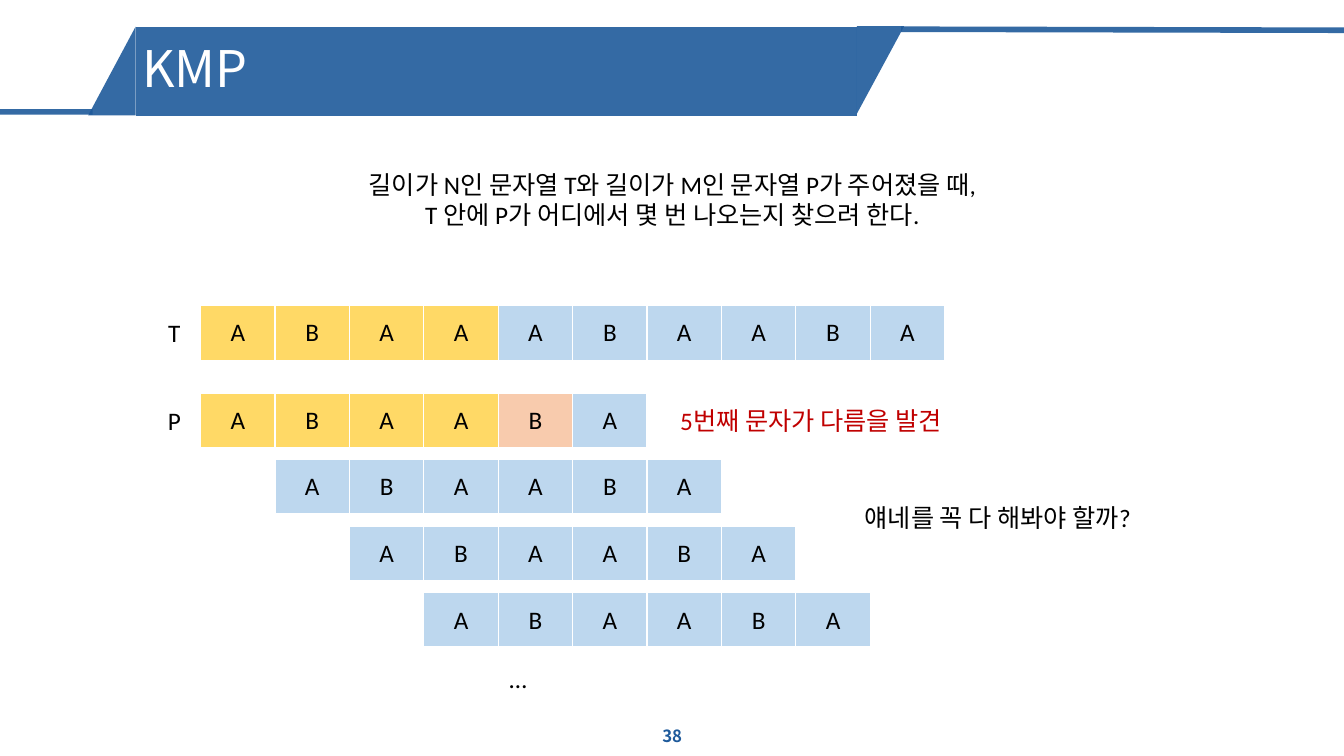
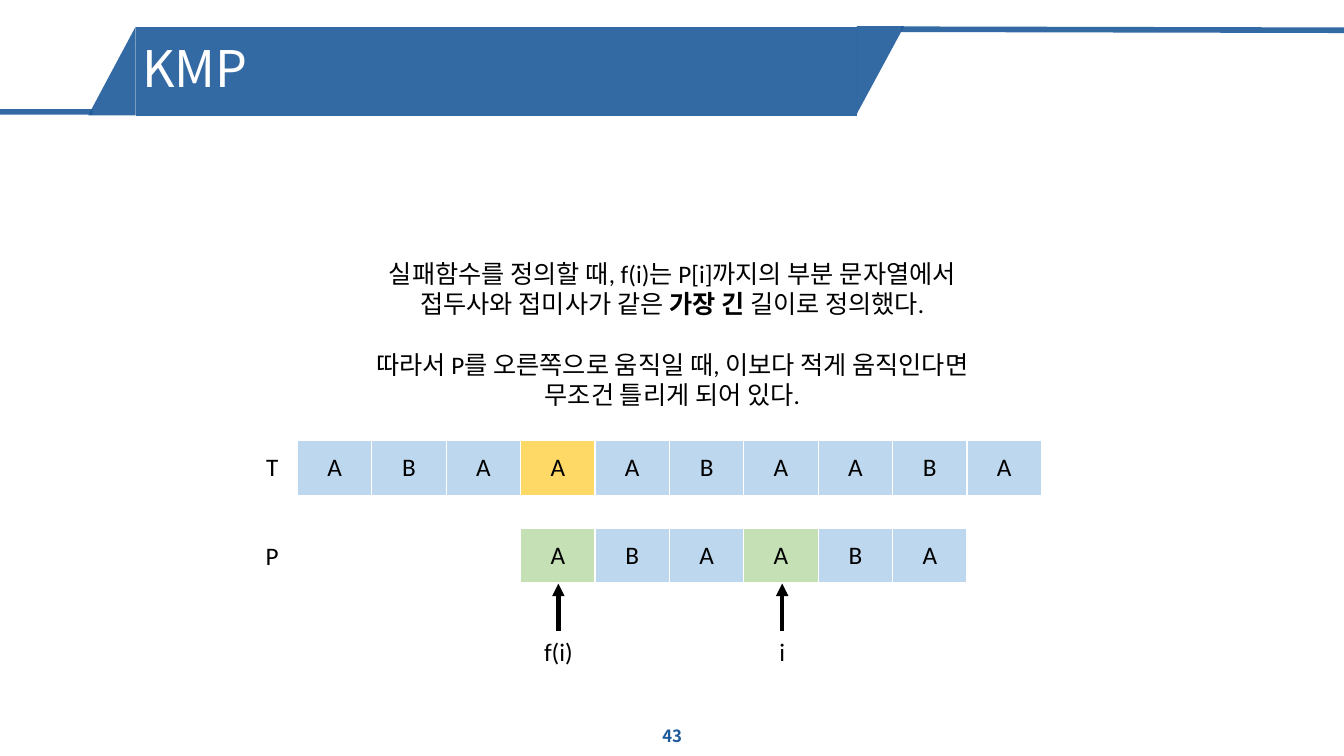
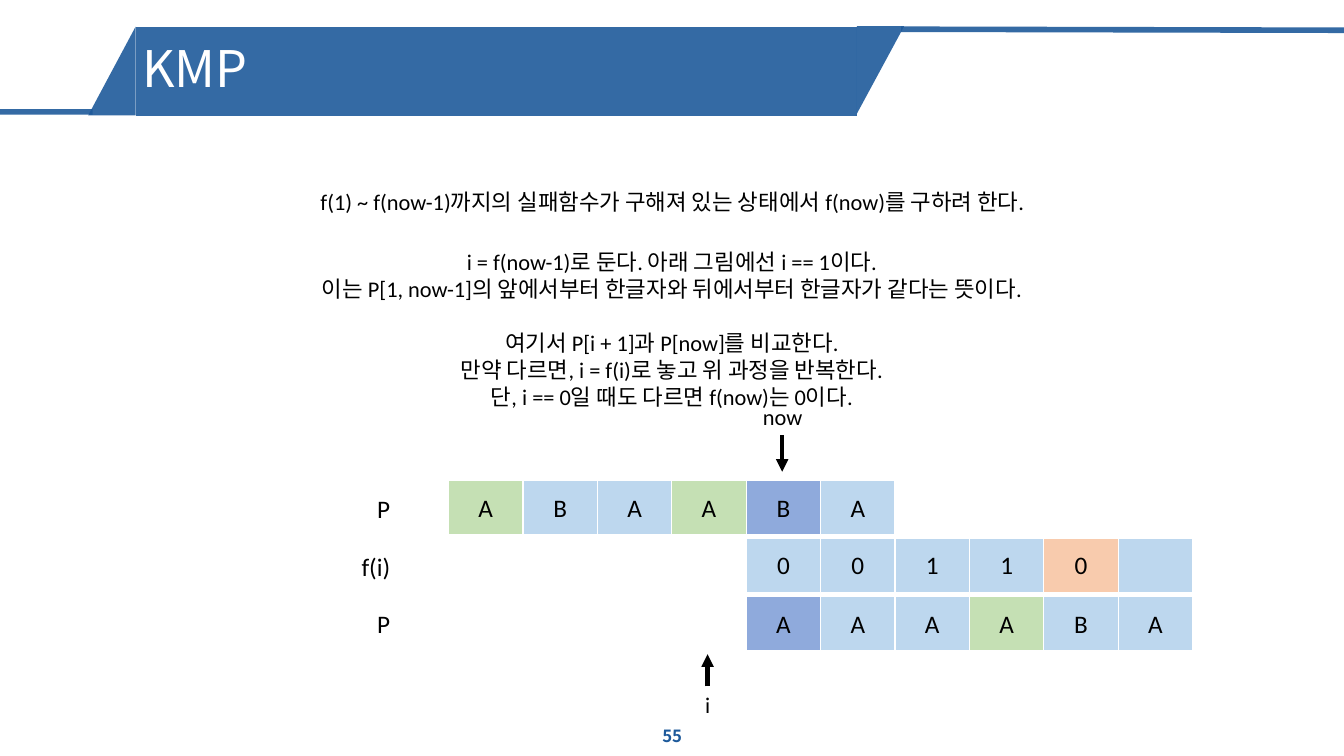
"""Build three slides that explain KMP string matching."""
import pptx
import pptx.util
import pptx.dml.color
import pptx.enum.shapes
import pptx.enum.text
import pptx.oxml.ns
import pptx.oxml.xmlchemy

Pt = pptx.util.Pt
qn = pptx.oxml.ns.qn
Node = pptx.oxml.xmlchemy.OxmlElement
RGB = pptx.dml.color.RGBColor.from_string
Align = pptx.enum.text.PP_ALIGN
Kind = pptx.enum.shapes.MSO_SHAPE
Middle = pptx.enum.text.MSO_ANCHOR.MIDDLE


class Theme:
    navy = "1E5A9B"
    white = "FFFFFF"
    black = "000000"
    red = "C00000"
    tints = {"b": "BDD7EE", "y": "FFD966", "o": "F8CBAD", "g": "C5E0B4", "d": "8FAADC"}
    body = "Calibri"
    head = "Noto Sans CJK KR"
    title = 36
    text = 18
    small = 16
    page = 12
    leading = 1.22


def write(frame, text, size=Theme.text, hue=Theme.black, side=Align.CENTER,
          face=Theme.body, bold=False):
    frame.word_wrap = True
    para = frame.paragraphs[0]
    for s, stanza in enumerate(text.split("\n\n")):
        for n, line in enumerate(stanza.split("\n")):
            if s or n:
                para = frame.add_paragraph()
            para.alignment = side
            if s and not n:
                para.space_before = Pt(size * Theme.leading)
            for r, piece in enumerate(line.split("*")):
                if piece:
                    run = para.add_run()
                    run.text = piece
                    run.font.size = Pt(size)
                    run.font.name = face
                    run.font.bold = bold or r % 2 == 1
                    run.font.color.rgb = RGB(hue)


def draw(slide, ends, width, hue):
    line = slide.shapes.add_connector(
        pptx.enum.shapes.MSO_CONNECTOR.STRAIGHT, *[Pt(v) for v in ends])
    line.line.width = Pt(width)
    line.line.color.rgb = RGB(hue)
    line.element.spPr.append(Node("a:effectLst"))
    return line


COL, ROW = 53.15, 39.6
LABEL = 28.8

pages = [
    {
        "page": "38",
        "texts": [
            (199.44, 117.36, 561.6, 51.12, "길이가 N인 문자열 T와 길이가 M인 문자열 P가 주어졌을 때,\n"
             "T 안에 P가 어디에서 몇 번 나오는지 찾으려 한다.", {}),
            (106.56, 223.2, 36, LABEL, "T", {}),
            (106.56, 285.84, 36, LABEL, "P", {}),
            (352.08, 470.16, 36, LABEL, "…", {}),
            (478.8, 285.84, 284.4, LABEL, "5번째 문자가 다름을 발견",
             {"hue": Theme.red, "side": Align.LEFT}),
            (610.56, 354.96, 252.72, LABEL, "얘네를 꼭 다 해봐야 할까?", {"side": Align.LEFT}),
        ],
        "grids": [(143.28, 218.16, "ABAAABAABA", "yyyybbbbbb"),
                  (143.28, 280.8, "ABAABA", "yyyyob")]
        + [(143.28 + COL * n, 280.8 + 47.52 * n, "ABAABA", "bbbbbb") for n in (1, 2, 3)],
        "arrows": [],
    },
    {
        "page": "43",
        "texts": [
            (199.44, 180.72, 561.6, 116.64, "실패함수를 정의할 때, f(i)는 P[i]까지의 부분 문자열에서\n"
             "접두사와 접미사가 같은 *가장 긴* 길이로 정의했다.\n\n"
             "따라서 P를 오른쪽으로 움직일 때, 이보다 적게 움직인다면\n"
             "무조건 틀리게 되어 있다.", {}),
            (176.4, 318.96, 36, LABEL, "T", {}),
            (176.4, 382.32, 36, LABEL, "P", {}),
            (541.44, 450.72, 34.56, LABEL, "i", {}),
            (365.04, 450.72, 67.68, LABEL, "f(i)", {}),
        ],
        "grids": [(212.4, 314.64, "ABAAABAABA", "bbbybbbbbb"),
                  (212.4 + COL * 3, 377.28, "ABAABA", "gbbgbb")],
        "arrows": [(x, 450.72, x, 416.88) for x in (558.72, 398.88)],
    },
    {
        "page": "55",
        "texts": [
            (162, 131.04, 636.48, 26.64,
             "f(1) ~ f(now-1)까지의 실패함수가 구해져 있는 상태에서 f(now)를 구하려 한다.",
             {"size": Theme.small}),
            (182.16, 173.52, 595.44, 123.84, "i = f(now-1)로 둔다. 아래 그림에선 i == 1이다.\n"
             "이는 P[1, now-1]의 앞에서부터 한글자와 뒤에서부터 한글자가 같다는 뜻이다.\n\n"
             "여기서 P[i + 1]과 P[now]를 비교한다.\n"
             "만약 다르면, i = f(i)로 놓고 위 과정을 반복한다.\n"
             "단, i == 0일 때도 다르면 f(now)는 0이다.", {"size": Theme.small}),
            (249.84, 348.48, 36, LABEL, "P", {"side": Align.RIGHT}),
            (226.8, 390.24, 59.04, LABEL, "f(i)", {"side": Align.RIGHT}),
            (249.84, 431.28, 36, LABEL, "P", {"side": Align.RIGHT}),
            (537.12, 284.4, 43.92, 26.64, "now", {"size": Theme.small}),
            (488.16, 490.32, 34.56, 26.64, "i", {"size": Theme.small}),
        ],
        "grids": [(320.4, 343.44, "ABAABA", "gbbgdb"),
                  (320.4 + COL * 4, 384.48, "00110 ", "bbbbob"),
                  (320.4 + COL * 4, 426.24, "AAAABA", "dbbgbb")],
        "arrows": [(558.72, 311.04, 558.72, 336.96), (505.44, 490.32, 505.44, 467.28)],
    },
]

deck = pptx.Presentation()
deck.slide_width, deck.slide_height = Pt(960), Pt(540)
layout = deck.slide_layouts[5]
for hold in list(layout.placeholders):
    if hold.placeholder_format.type == pptx.enum.shapes.PP_PLACEHOLDER.TITLE:
        hold.left, hold.top, hold.width, hold.height = Pt(94.32), Pt(21.6), Pt(514.8), Pt(58.32)
    else:
        hold.element.getparent().remove(hold.element)
slides = [deck.slides.add_slide(layout) for page in pages]

band = [draw(slides[0], ends, 4, Theme.navy)
        for ends in ((66.24, 79.92, -2.16, 79.92), (960, 21.6, 643.68, 20.88))]
for kind, turn, *box in (
    (Kind.RIGHT_TRIANGLE, 90, 597.6, 33.12, 62.64, 33.84),
    (Kind.RIGHT_TRIANGLE, 270, 48.24, 33.84, 63.36, 33.84),
    (Kind.RECTANGLE, 0, 97.2, 19.44, 514.8, 63.36),
):
    part = slides[0].shapes.add_shape(kind, *[Pt(v) for v in box])
    part.rotation = turn
    part.shadow.inherit = False
    part.fill.solid()
    part.fill.fore_color.rgb = RGB(Theme.navy)
    part.line.fill.background()
    band.append(part)
for n, part in enumerate(band):
    for hue in part.element.iter(qn("a:srgbClr")):
        alpha = Node("a:alpha")
        alpha.set("val", "90000")
        hue.append(alpha)
    part.element.xpath(".//p:cNvPr")[0].set("id", str(20 + n))
    layout.shapes.element.append(part.element)

for slide, page in zip(slides, pages):
    title = slide.shapes.title.text_frame
    write(title, "KMP", Theme.title, Theme.white, Align.LEFT, Theme.head)
    title.vertical_anchor = Middle
    title.auto_size = pptx.enum.text.MSO_AUTO_SIZE.NONE
    title.paragraphs[0].line_spacing = 0.9
    title.paragraphs[0].space_before = Pt(10)

    foot = slide.shapes.add_textbox(Pt(372.24), Pt(511.2), Pt(216), Pt(28.8)).text_frame
    foot.vertical_anchor = Middle
    write(foot, page["page"], Theme.page, Theme.navy, face=Theme.head, bold=True)

    for *box, text, style in page["texts"]:
        write(slide.shapes.add_textbox(*[Pt(v) for v in box]).text_frame, text, **style)

    for left, top, word, tints in page["grids"]:
        size = len(word)
        grid = slide.shapes.add_table(
            1, size, Pt(left), Pt(top), Pt(COL * size), Pt(ROW)).table
        for cell, sign, tint in zip(grid.iter_cells(), word, tints):
            for edge in "LRTB":
                rim = Node("a:ln" + edge)
                rim.set("w", str(Pt(3 if edge == "B" and size == 6 else 1)))
                fill = Node("a:solidFill")
                hue = Node("a:srgbClr")
                hue.set("val", Theme.white)
                fill.append(hue)
                rim.append(fill)
                cell._tc.get_or_add_tcPr().append(rim)
            cell.fill.solid()
            cell.fill.fore_color.rgb = RGB(Theme.tints[tint])
            cell.vertical_anchor = Middle
            write(cell.text_frame, sign.strip())

    for ends in page["arrows"]:
        arrow = draw(slide, ends, 3, Theme.black)
        tip = Node("a:tailEnd")
        tip.set("type", "triangle")
        arrow.get_or_add_ln().append(tip)

deck.save("out.pptx")
